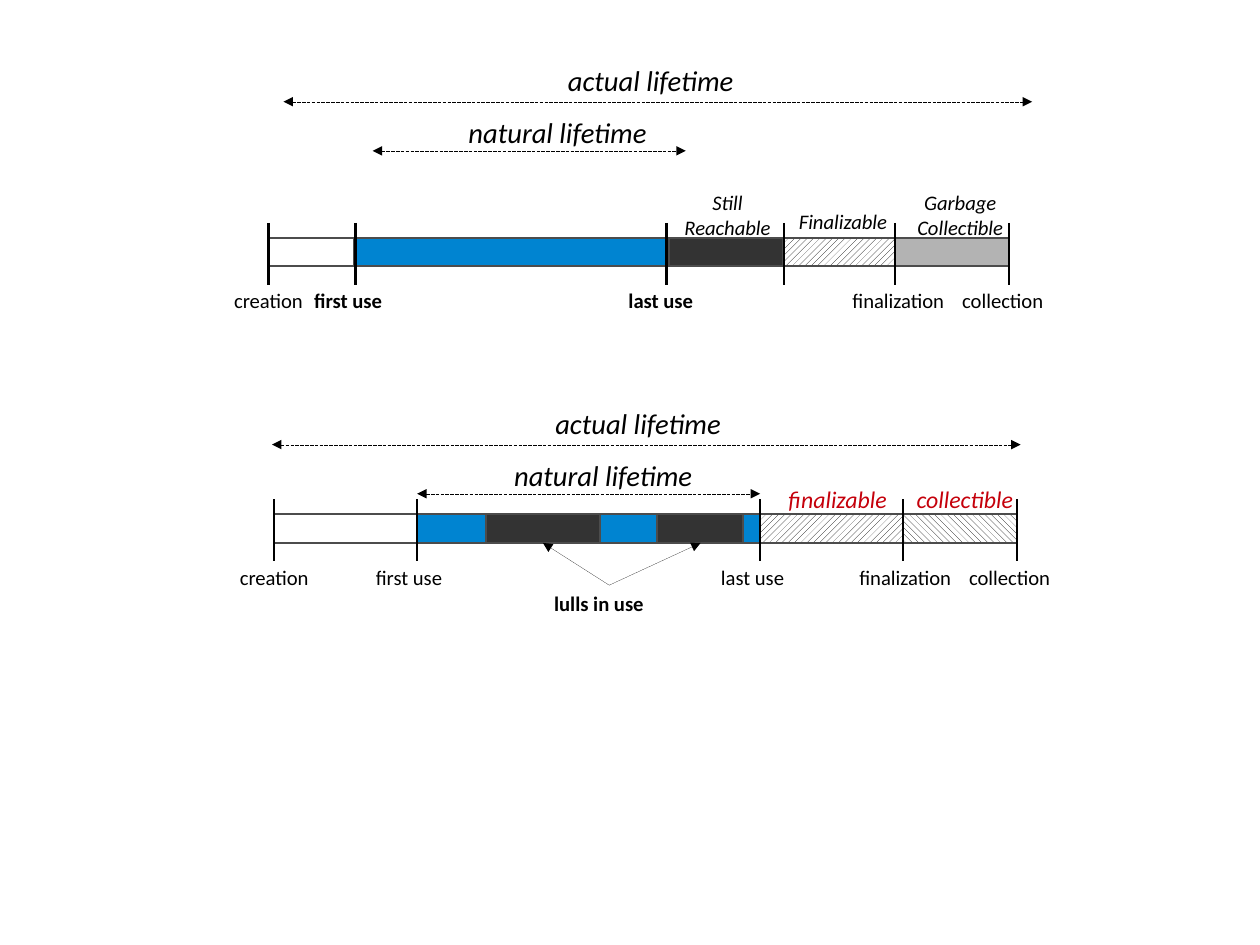
"""Draws two object lifetime timelines on one slide."""
from pptx import Presentation
from pptx.dml.color import RGBColor
from pptx.enum.dml import MSO_LINE, MSO_PATTERN
from pptx.enum.shapes import MSO_CONNECTOR, MSO_SHAPE
from pptx.enum.text import MSO_AUTO_SIZE, PP_ALIGN
from pptx.oxml.ns import qn
from pptx.util import Cm, Inches, Pt
from lxml.etree import SubElement

COLORS = {
    "black": "000000", "white": "FFFFFF", "blue": "0084D1", "dark": "333333",
    "gray": "B3B3B3", "border": "4C4C4C", "red": "C5000B",
}
PATTERNS = {
    "rising": MSO_PATTERN.WIDE_UPWARD_DIAGONAL,
    "falling": MSO_PATTERN.WIDE_DOWNWARD_DIAGONAL,
}


def color(name):
    return RGBColor.from_string(COLORS[name])


class Diagram:
    """Holds the style and the current page."""

    font = "Calibri"
    stroke = Pt(1.45)
    bar_height = 0.25

    def __init__(self, page):
        self.page = page

    def segment(self, left, top, width, fill=None):
        bar = self.page.shapes.add_shape(
            MSO_SHAPE.RECTANGLE, Inches(left), Inches(top),
            Inches(width), Inches(self.bar_height))
        bar.shadow.inherit = False
        bar.line.color.rgb = color("border")
        bar.line.width = self.stroke
        if fill is None:
            bar.fill.background()
        elif fill in PATTERNS:
            bar.fill.patterned()
            bar.fill.pattern = PATTERNS[fill]
            bar.fill.fore_color.rgb = color("black")
            bar.fill.back_color.rgb = color("white")
        else:
            bar.fill.solid()
            bar.fill.fore_color.rgb = color(fill)

    def line(self, start, end, width=0, dash=None, heads=()):
        connector = self.page.shapes.add_connector(
            MSO_CONNECTOR.STRAIGHT, *map(Inches, start + end))
        connector.line.color.rgb = color("black")
        if dash:
            connector.line.dash_style = dash
        outline = connector.line._get_or_add_ln()
        outline.set("w", str(int(width)))
        for head in heads:
            SubElement(outline, qn(f"a:{head}"), type="triangle")
        SubElement(connector._element.spPr, qn("a:effectLst"))

    def tick(self, x, bar_top):
        top = bar_top - 0.13
        self.line((x, top), (x, top + 0.54), self.stroke)

    def span(self, left, right, y):
        self.line((left, y), (right, y), dash=MSO_LINE.SQUARE_DOT,
                  heads=("headEnd", "tailEnd"))

    def label(self, text, left, top, width, height=0.34, size=13,
              bold=False, italic=False, ink="black"):
        box = self.page.shapes.add_textbox(
            Inches(left), Inches(top), Inches(width), Inches(height))
        frame = box.text_frame
        frame.word_wrap = False
        frame.auto_size = MSO_AUTO_SIZE.SHAPE_TO_FIT_TEXT
        frame.text = text
        for para in frame.paragraphs:
            para.alignment = PP_ALIGN.CENTER if "\n" in text else PP_ALIGN.LEFT
            para.font.name = self.font
            para.font.size = Pt(size)
            para.font.bold = bold
            para.font.italic = italic
            para.font.color.rgb = color(ink)

    def timeline(self, bar_top, segments, ticks, events):
        for left, width, fill in segments:
            self.segment(left, bar_top, width, fill)
        for x in ticks:
            self.tick(x, bar_top)
        for text, left, width, bold in events:
            self.label(text, left, bar_top + 0.39, width, bold=bold)


def main():
    deck = Presentation()
    deck.slide_width, deck.slide_height = Cm(28), Cm(21)
    diagram = Diagram(deck.slides.add_slide(deck.slide_layouts[6]))

    diagram.timeline(
        2.08,
        [(3.11, 2.74, "blue"), (6.85, 0.98, "rising"), (2.35, 0.75, None),
         (7.83, 1, "gray"), (5.85, 1, "dark")],
        [2.35, 3.11, 5.83, 6.86, 7.83, 8.83],
        [("creation", 1.95, 0.89, False), ("first use", 2.65, 0.94, True),
         ("last use", 5.4, 0.89, True), ("finalization", 7.36, 1.13, False),
         ("collection", 8.32, 1.01, False)])
    diagram.timeline(
        4.5,
        [(3.65, 3, "blue"), (6.65, 1.25, "rising"), (2.4, 1.25, None),
         (7.9, 1, "falling"), (4.25, 1, "dark"), (5.75, 0.75, "dark")],
        [2.4, 3.65, 6.65, 7.9, 8.9],
        [("creation", 2, 0.89, False), ("first use", 3.19, 0.88, False),
         ("last use", 6.21, 0.84, False), ("finalization", 7.42, 1.13, False),
         ("collection", 8.38, 1.01, False)])

    for text, left, top, width in [
            ("actual lifetime", 4.87, 0.5, 1.78),
            ("natural lifetime", 4, 0.96, 2.75),
            ("actual lifetime", 4.76, 3.5, 1.78),
            ("natural lifetime", 4.4, 3.96, 1.9)]:
        diagram.label(text, left, top, width, 0.44, size=18, italic=True)
    for left, right, y in [(2.48, 9.03, 0.89), (3.26, 6, 1.32),
                           (2.38, 8.93, 3.89), (3.65, 6.65, 4.32)]:
        diagram.span(left, right, y)

    diagram.label("Still\nReachable", 5.88, 1.61, 0.97, 0.59, italic=True)
    diagram.label("Finalizable", 6.89, 1.78, 1.05, italic=True)
    diagram.label("Garbage\nCollectible", 7.89, 1.61, 1.02, 0.59, italic=True)
    for text, left, width in [("finalizable", 6.8, 1.15),
                              ("collectible", 7.92, 1.12)]:
        diagram.label(text, left, 4.19, width, 0.38, size=15,
                      italic=True, ink="red")

    diagram.label("lulls in use", 4.75, 5.12, 1.15, bold=True)
    for lull in (4.75, 6.13):
        diagram.line((5.33, 5.12), (lull, 4.75), heads=("tailEnd",))

    deck.save("out.pptx")


if __name__ == "__main__":
    main()
